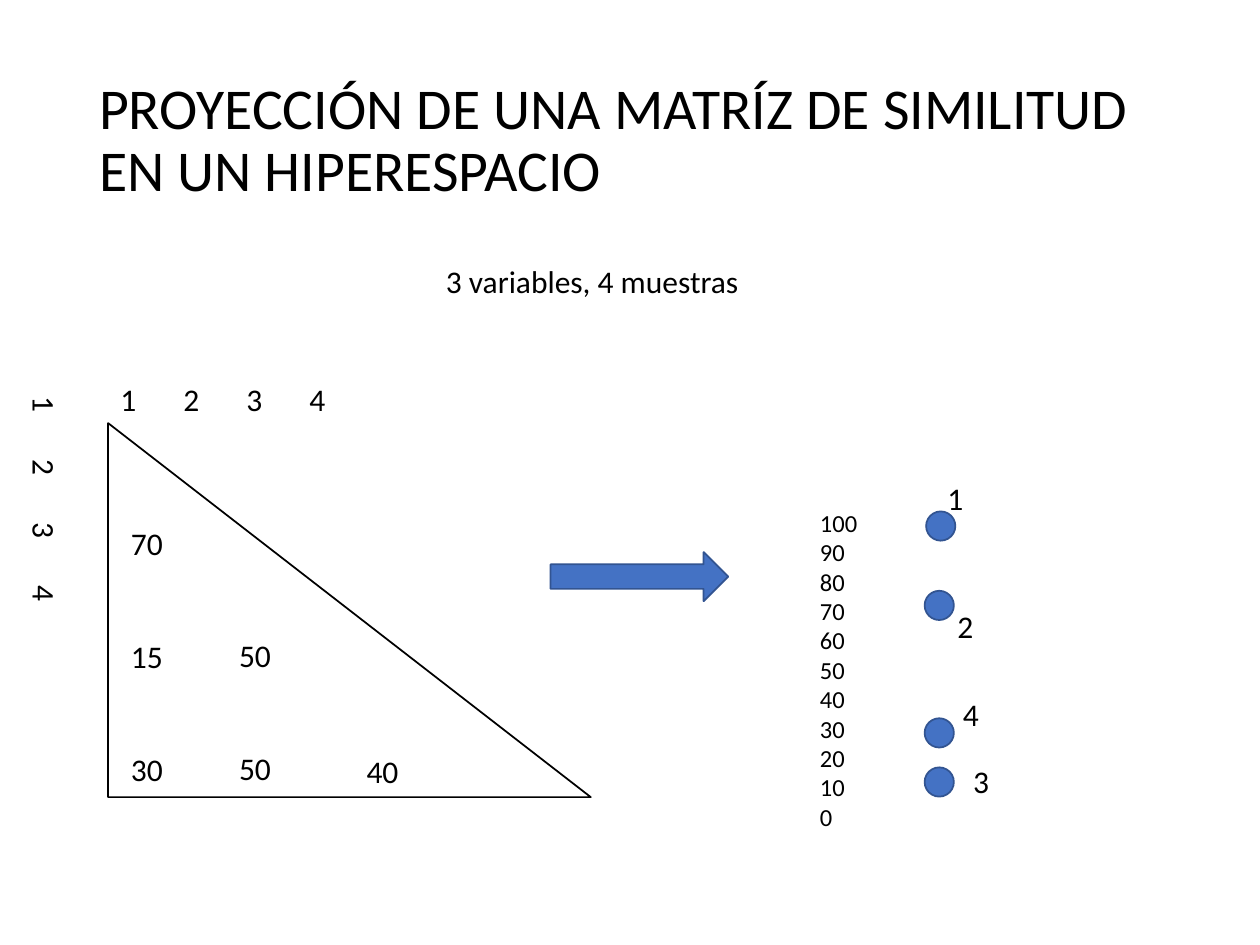
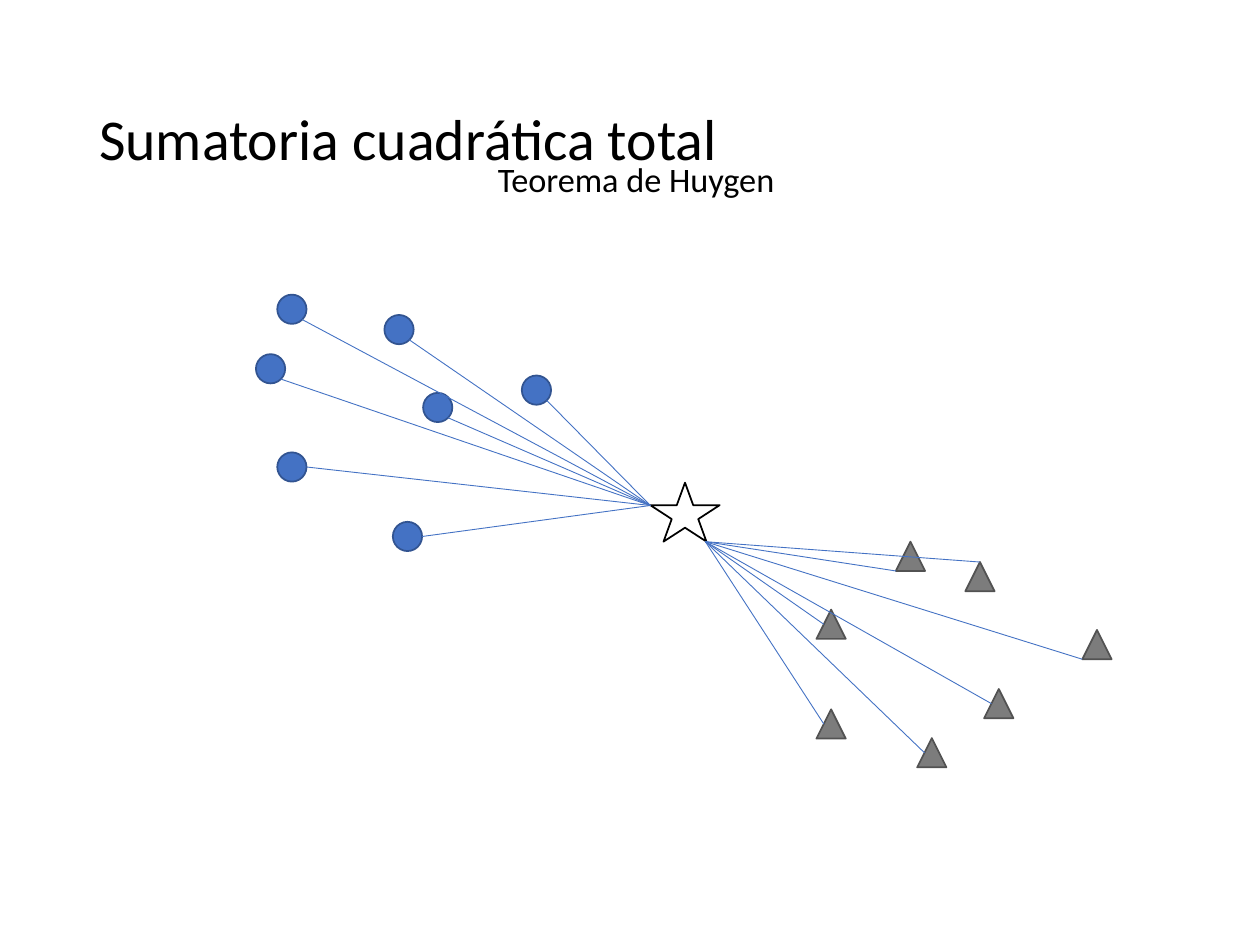
from lxml.etree import SubElement
from pptx import Presentation
from pptx.dml.color import RGBColor
from pptx.enum.shapes import MSO_CONNECTOR, MSO_SHAPE
from pptx.enum.text import MSO_ANCHOR, PP_ALIGN
from pptx.oxml.ns import qn
from pptx.util import Cm, Pt

COLORS = {
    "text": "000000",
    "outline": "000000",
    "blue": "4472C4",
    "blue_edge": "325491",
    "gray": "7C7C7C",
    "gray_edge": "525252",
}
FONT = "Calibri"
MARK = 0.59
LABEL_HEIGHT = 1.02


def color(name):
    return RGBColor.from_string(COLORS[name])


def add_text(shapes, lines, left, top, width, height, size=18, align=PP_ALIGN.LEFT,
             anchor=MSO_ANCHOR.TOP, line_spacing=None, gap=0, rotation=0):
    box = shapes.add_textbox(Cm(left), Cm(top), Cm(width), Cm(height))
    box.rotation = rotation
    frame = box.text_frame
    frame.word_wrap = True
    frame.vertical_anchor = anchor
    for index, line in enumerate(lines):
        paragraph = frame.paragraphs[0] if index == 0 else frame.add_paragraph()
        paragraph.alignment = align
        if line_spacing:
            paragraph.line_spacing = line_spacing
        if index and gap:
            paragraph.space_before = Pt(gap)
        run = paragraph.add_run()
        run.text = line
        run.font.name = FONT
        run.font.size = Pt(size)
        run.font.color.rgb = color("text")


def add_title(slide, title):
    add_text(slide.shapes, [title], 1.75, 1.02, 21.89, 3.68, size=33,
             anchor=MSO_ANCHOR.MIDDLE, line_spacing=0.9)


def add_figure(shapes, kind, left, top, width, height, edge, fill=None):
    figure = shapes.add_shape(kind, Cm(left), Cm(top), Cm(width), Cm(height))
    figure.shadow.inherit = False
    if fill:
        figure.fill.solid()
        figure.fill.fore_color.rgb = color(fill)
    else:
        figure.fill.background()
    figure.line.color.rgb = color(edge)
    figure.line.width = Pt(1)


def add_circle(shapes, left, top):
    add_figure(shapes, MSO_SHAPE.OVAL, left, top, MARK, MARK, "blue_edge", "blue")


def add_triangle(shapes, left, top):
    add_figure(shapes, MSO_SHAPE.ISOSCELES_TRIANGLE, left, top, MARK, MARK,
               "gray_edge", "gray")


def add_ray(shapes, start, end):
    ray = shapes.add_connector(MSO_CONNECTOR.STRAIGHT, *(Cm(v) for v in start + end))
    ray.line.color.rgb = color("blue")
    ray.line.width = Pt(0.5)
    SubElement(ray._element.spPr, qn("a:effectLst"))


def add_cluster(slide, add_mark, samples, center):
    cluster = slide.shapes.add_group_shape()
    for left, top, _ in samples:
        add_mark(cluster.shapes, left, top)
    for left, top, (across, down) in samples:
        add_ray(slide.shapes, (left + across * MARK, top + down * MARK), center)


def build_projection(slide):
    shapes = slide.shapes
    add_title(slide, "PROYECCIÓN DE UNA MATRÍZ DE SIMILITUD EN UN HIPERESPACIO")
    add_text(shapes, ["3 variables, 4 muestras"], 8.74, 5.16, 11.51, LABEL_HEIGHT)

    add_figure(shapes, MSO_SHAPE.RIGHT_TRIANGLE, 2.18, 8.53, 9.73, 7.54, "outline")
    for left, top, rotation in [(2.18, 7.54, 0), (-3.86, 11.99, 90)]:
        add_text(shapes, ["1\t2\t3\t4"], left, top, 9.53, LABEL_HEIGHT, rotation=rotation)
    similarities = [
        (["70", "15", "30"], 2.39, 10.44, 1.78, 5.64),
        (["50", "50"], 4.57, 12.7, 1.78, 3.33),
        (["40"], 7.14, 15.04, 1.6, LABEL_HEIGHT),
    ]
    for values, *place in similarities:
        add_text(shapes, values, *place, gap=43)

    add_figure(shapes, MSO_SHAPE.RIGHT_ARROW, 11.1, 11.13, 3.58, 0.99, "blue_edge", "blue")

    scale = [str(value) for value in range(100, -1, -10)]
    add_text(shapes, scale, 16.28, 10.11, 1.6, 6.83, size=14)
    projected = [
        ("1", (18.67, 10.31), (18.85, 9.53, 0.58)),
        ("2", (18.64, 11.91), (19.05, 12.12, 0.58)),
        ("3", (18.64, 15.47), (19.46, 15.24, 0.41)),
        ("4", (18.64, 14.48), (19.25, 13.89, 0.41)),
    ]
    for sample, position, label in projected:
        point = shapes.add_group_shape()
        add_circle(point.shapes, *position)
        add_text(point.shapes, [sample], *label, LABEL_HEIGHT)


def build_total_sum(slide):
    add_title(slide, "Sumatoria cuadrática total")
    lower_right, right = (0.85, 0.85), (1, 0.5)
    circles = [
        (5.16, 7.14, lower_right),
        (7.75, 6.35, lower_right),
        (5.59, 9.12, right),
        (8.53, 7.92, lower_right),
        (5.59, 5.94, lower_right),
        (7.92, 10.52, right),
        (10.52, 7.57, lower_right),
    ]
    apex, left_side, left_corner = (0.5, 0), (0.25, 0.5), (0, 1)
    triangles = [
        (18.06, 10.92, left_corner),
        (19.46, 11.33, apex),
        (16.46, 12.29, left_side),
        (18.49, 14.88, left_side),
        (21.82, 12.7, left_corner),
        (16.46, 14.3, left_side),
        (19.84, 13.89, left_side),
    ]
    add_figure(slide.shapes, MSO_SHAPE.STAR_5_POINT, 13.11, 9.73, 1.4, 1.19, "outline")
    add_cluster(slide, add_circle, circles, (13.11, 10.19))
    add_cluster(slide, add_triangle, triangles, (14.22, 10.92))
    add_text(slide.shapes, ["Teorema de Huygen"], 7.54, 3.18, 10.57, 0.99, size=19.6,
             align=PP_ALIGN.CENTER, anchor=MSO_ANCHOR.MIDDLE, line_spacing=0.8)


def main():
    deck = Presentation()
    deck.slide_width, deck.slide_height = Cm(25.4), Cm(19.05)
    for build in (build_projection, build_total_sum):
        build(deck.slides.add_slide(deck.slide_layouts[6]))
    deck.save("out.pptx")


if __name__ == "__main__":
    main()
